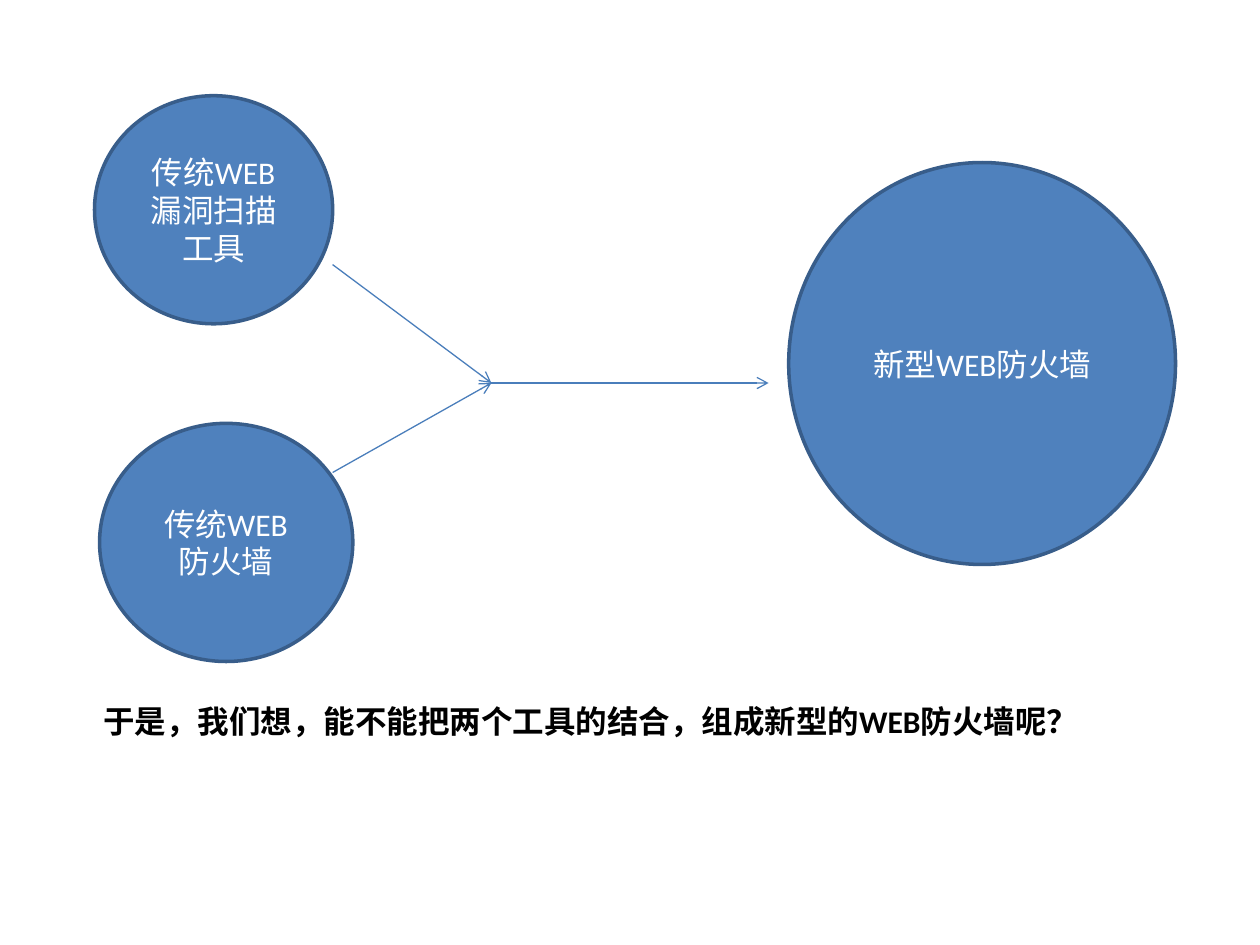
import pptx
import pptx.util
import pptx.dml.color
import pptx.enum.shapes
import pptx.enum.text
import pptx.oxml
import pptx.oxml.ns

Inches = pptx.util.Inches
HUES = {"fill": "4F81BD", "edge": "385D8A", "line": "4A7EBB",
        "light": "FFFFFF", "dark": "000000"}


class Deck:
    font = "Calibri"
    size = 18

    def __init__(self, wide, high):
        self.prs = pptx.Presentation()
        self.prs.slide_width = Inches(wide)
        self.prs.slide_height = Inches(high)
        self.slide = self.prs.slides.add_slide(self.prs.slide_layouts[6])

    def hue(self, name):
        return pptx.dml.color.RGBColor.from_string(HUES[name])

    def words(self, frame, text, hue, align, bold=False):
        para = frame.paragraphs[0]
        para.alignment = align
        run = para.add_run()
        run.text = text
        run.font.name = self.font
        run.font.size = pptx.util.Pt(self.size)
        run.font.bold = bold
        run.font.color.rgb = self.hue(hue)

    def disc(self, text, box):
        shape = self.slide.shapes.add_shape(
            pptx.enum.shapes.MSO_SHAPE.OVAL, *map(Inches, box))
        shape.shadow.inherit = False
        shape.fill.solid()
        shape.fill.fore_color.rgb = self.hue("fill")
        shape.line.color.rgb = self.hue("edge")
        shape.line.width = pptx.util.Pt(2)
        frame = shape.text_frame
        frame.word_wrap = True
        frame.vertical_anchor = pptx.enum.text.MSO_ANCHOR.MIDDLE
        self.words(frame, text, "light", pptx.enum.text.PP_ALIGN.CENTER)

    def arrow(self, start, end):
        line = self.slide.shapes.add_connector(
            pptx.enum.shapes.MSO_CONNECTOR.STRAIGHT, *map(Inches, start + end))
        line.line.color.rgb = self.hue("line")
        line.line.width = pptx.util.Pt(0.75)
        props = line._element.spPr
        space = pptx.oxml.ns.nsdecls("a")
        tip = pptx.oxml.parse_xml(f'<a:tailEnd {space} type="arrow"/>')
        props.find(pptx.oxml.ns.qn("a:ln")).append(tip)
        props.append(pptx.oxml.parse_xml(f"<a:effectLst {space}/>"))

    def label(self, text, box):
        frame = self.slide.shapes.add_textbox(*map(Inches, box)).text_frame
        frame.word_wrap = False
        frame.auto_size = pptx.enum.text.MSO_AUTO_SIZE.SHAPE_TO_FIT_TEXT
        self.words(frame, text, "dark", pptx.enum.text.PP_ALIGN.LEFT, True)


def main():
    deck = Deck(10, 7.5)
    deck.disc("传统WEB漏洞扫描工具", (0.75, 0.76, 1.89, 1.81))
    deck.disc("传统WEB防火墙", (0.79, 3.36, 2.01, 1.89))
    deck.disc("新型WEB防火墙", (6.26, 1.29, 3.07, 3.19))

    joint = (3.9, 3.04)
    for start in ((2.64, 2.1), (2.64, 3.75)):
        deck.arrow(start, joint)
    deck.arrow(joint, (6.1, 3.04))

    deck.label("于是，我们想，能不能把两个工具的结合，组成新型的WEB防火墙呢？",
               (0.72, 5.52, 8.06, 0.4))
    deck.prs.save("out.pptx")


if __name__ == "__main__":
    main()
